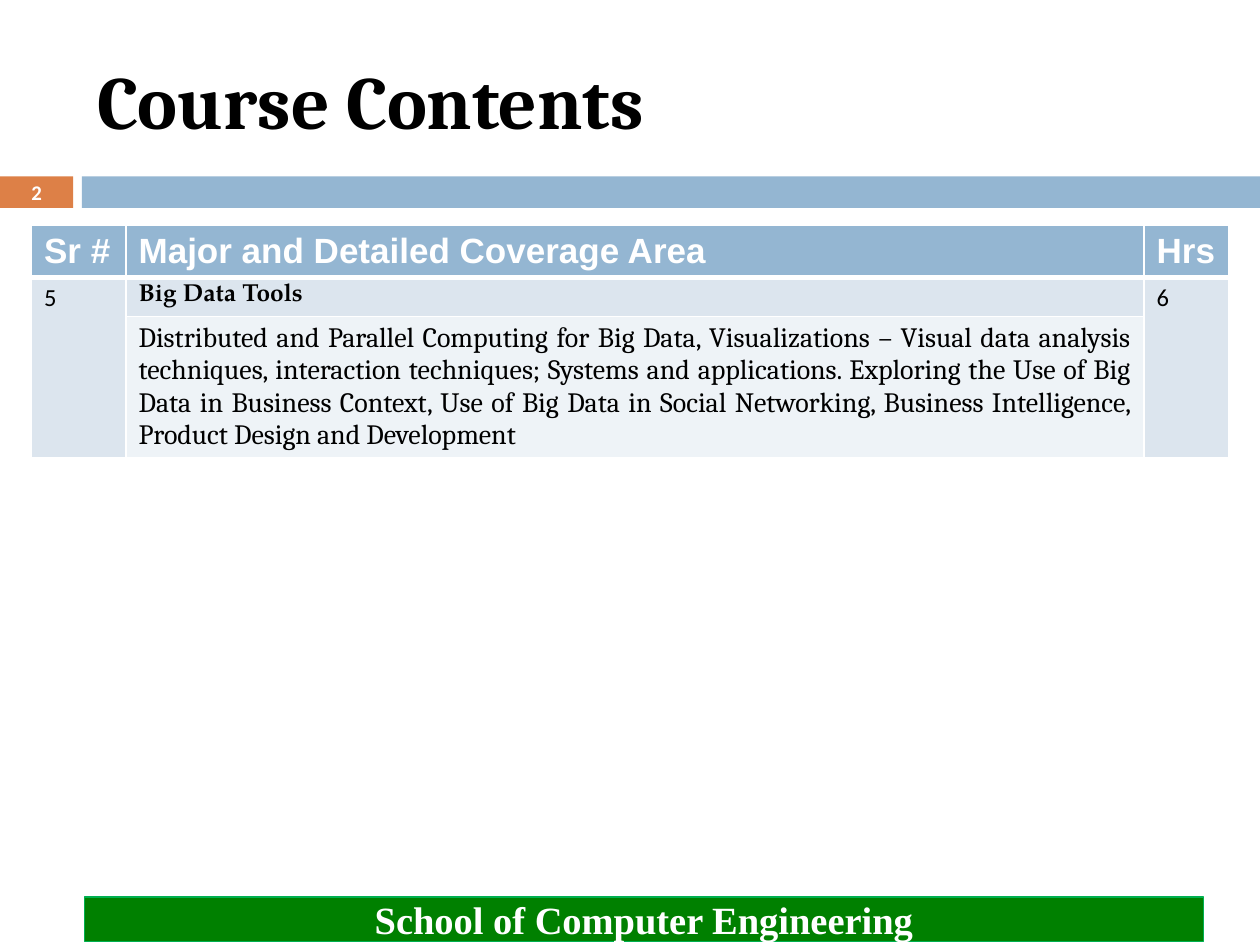
"""Build the Course Contents slide with its coverage table and footer band."""
from dataclasses import dataclass
from typing import Optional

from lxml.etree import SubElement
from pptx import Presentation
from pptx.dml.color import RGBColor
from pptx.enum.shapes import MSO_SHAPE as Shape
from pptx.enum.text import MSO_ANCHOR as Anchor, PP_ALIGN as Align
from pptx.oxml.ns import qn
from pptx.util import Inches, Pt

COLORS = {
    "accent": "DD8047", "blue": "94B6D2", "green": "008000", "edge": "00B050",
    "band": "DCE5EE", "pale": "EEF3F7", "white": "FFFFFF", "black": "000000",
}


@dataclass(frozen=True)
class Style:
    font: str
    size: float
    color: str = "black"
    bold: bool = False
    align: Align = Align.LEFT


@dataclass(frozen=True)
class Bar:
    left: float
    top: float
    width: float
    height: float
    fill: str
    edge: Optional[str] = None
    text: str = ""
    style: Optional[Style] = None


@dataclass(frozen=True)
class Entry:
    row: int
    column: int
    text: str
    fill: str
    style: Style
    row_span: int = 1


TITLE = Style("Cambria", 43, bold=True)
HEADER = Style("Arial", 20, "white", True)
NUMBER = Style("Calibri", 14)
TOPIC = Style("TeX Gyre Pagella", 14, bold=True)
DETAIL = Style("Cambria", 16, align=Align.JUSTIFY)
PAGE_NUMBER = Style("Calibri", 11.9, "white", True, Align.CENTER)
FOOTER = Style("Times New Roman", 22, "white", True, Align.CENTER)

BARS = [
    Bar(0, 1.4, 0.58, 0.25, "accent", text="2", style=PAGE_NUMBER),
    Bar(0.65, 1.4, 9.35, 0.25, "blue"),
    Bar(0.67, 7.12, 8.88, 0.35, "green", "edge", "School of Computer Engineering", FOOTER),
]
COLUMN_WIDTHS = [0.75, 8.08, 0.67]
ROW_HEIGHTS = [0.4, 0.31, 1.11]
HEADINGS = ["Sr #", "Major and Detailed Coverage Area", "Hrs"]
COVERAGE = (
    "Distributed and Parallel Computing for Big Data, Visualizations – Visual data analysis "
    "techniques, interaction techniques; Systems and applications. Exploring the Use of Big "
    "Data in Business Context, Use of Big Data in Social Networking, Business Intelligence, "
    "Product Design and Development"
)
ENTRIES = [Entry(0, column, text, "blue", HEADER) for column, text in enumerate(HEADINGS)] + [
    Entry(1, 0, "5", "band", NUMBER, row_span=2),
    Entry(1, 1, "Big Data Tools", "band", TOPIC),
    Entry(1, 2, "6", "band", NUMBER, row_span=2),
    Entry(2, 1, COVERAGE, "pale", DETAIL),
]


def rgb(name: str) -> RGBColor:
    """Return the named colour."""
    return RGBColor.from_string(COLORS[name])


def write(frame, text: str, style: Style) -> None:
    """Put one styled run into a text frame."""
    para = frame.paragraphs[0]
    para.alignment = style.align
    span = para.add_run()
    span.text = text
    span.font.name = style.font
    span.font.size = Pt(style.size)
    span.font.bold = style.bold
    span.font.color.rgb = rgb(style.color)


def draw_bar(page, bar: Bar) -> None:
    """Draw a filled rectangle with optional text."""
    box = page.shapes.add_shape(
        Shape.RECTANGLE, Inches(bar.left), Inches(bar.top), Inches(bar.width), Inches(bar.height))
    box.shadow.inherit = False
    box.fill.solid()
    box.fill.fore_color.rgb = rgb(bar.fill)
    if bar.edge:
        box.line.color.rgb = rgb(bar.edge)
        box.line.width = Pt(0.75)
    else:
        box.line.fill.background()
    if bar.style:
        box.text_frame.vertical_anchor = Anchor.MIDDLE
        write(box.text_frame, bar.text, bar.style)


def set_borders(cell, bottom: float) -> None:
    """Give a cell white borders, with its own bottom width in points."""
    properties = cell._tc.get_or_add_tcPr()
    for index, (side, width) in enumerate([("L", 1), ("R", 1), ("T", 1), ("B", bottom)]):
        line = SubElement(properties, qn(f"a:ln{side}"), w=str(Pt(width)))
        fill = SubElement(line, qn("a:solidFill"))
        SubElement(fill, qn("a:srgbClr"), val=COLORS["white"])
        properties.insert(index, line)


def draw_table(page) -> None:
    """Draw the coverage table."""
    table = page.shapes.add_table(
        len(ROW_HEIGHTS), len(COLUMN_WIDTHS), Inches(0.25), Inches(1.79),
        Inches(sum(COLUMN_WIDTHS)), Inches(sum(ROW_HEIGHTS))).table
    for column, width in zip(table.columns, COLUMN_WIDTHS):
        column.width = Inches(width)
    for row, height in zip(table.rows, ROW_HEIGHTS):
        row.height = Inches(height)
    for entry in ENTRIES:
        cell = table.cell(entry.row, entry.column)
        if entry.row_span > 1:
            cell.merge(table.cell(entry.row + entry.row_span - 1, entry.column))
        write(cell.text_frame, entry.text, entry.style)
        for offset in range(entry.row_span):
            part = table.cell(entry.row + offset, entry.column)
            part.fill.solid()
            part.fill.fore_color.rgb = rgb(entry.fill)
            set_borders(part, 3 if entry.row == 0 else 1)


def main() -> None:
    """Build and save the deck."""
    deck = Presentation()
    deck.slide_width, deck.slide_height = Inches(10), Inches(7.5)
    page = deck.slides.add_slide(deck.slide_layouts[5])
    title = page.shapes.title
    title.left, title.top = Inches(0.67), Inches(0.25)
    title.width, title.height = Inches(8.92), Inches(1.08)
    title.text_frame.vertical_anchor = Anchor.MIDDLE
    write(title.text_frame, "Course Contents", TITLE)
    for bar in BARS:
        draw_bar(page, bar)
    draw_table(page)
    deck.save("out.pptx")


if __name__ == "__main__":
    main()
